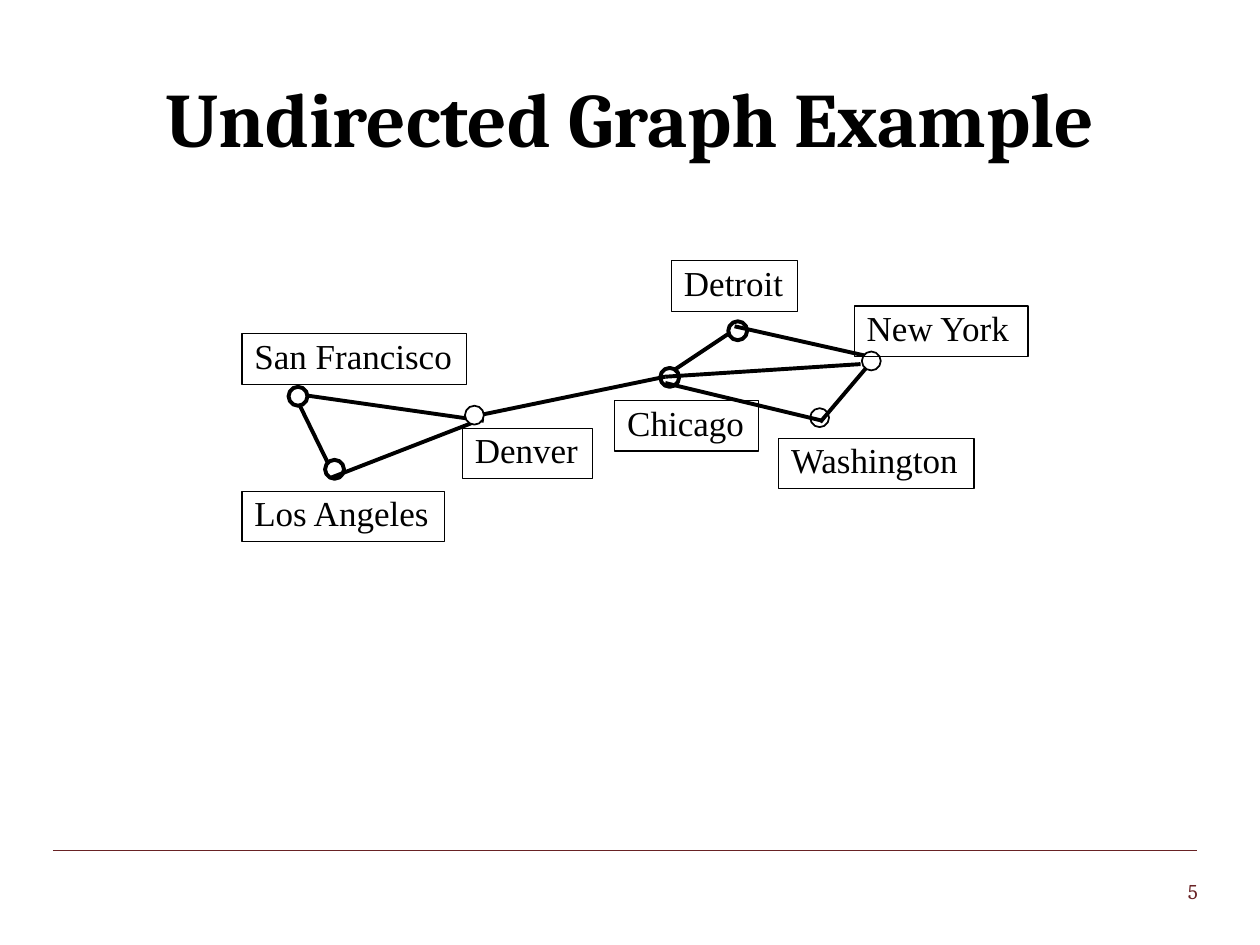
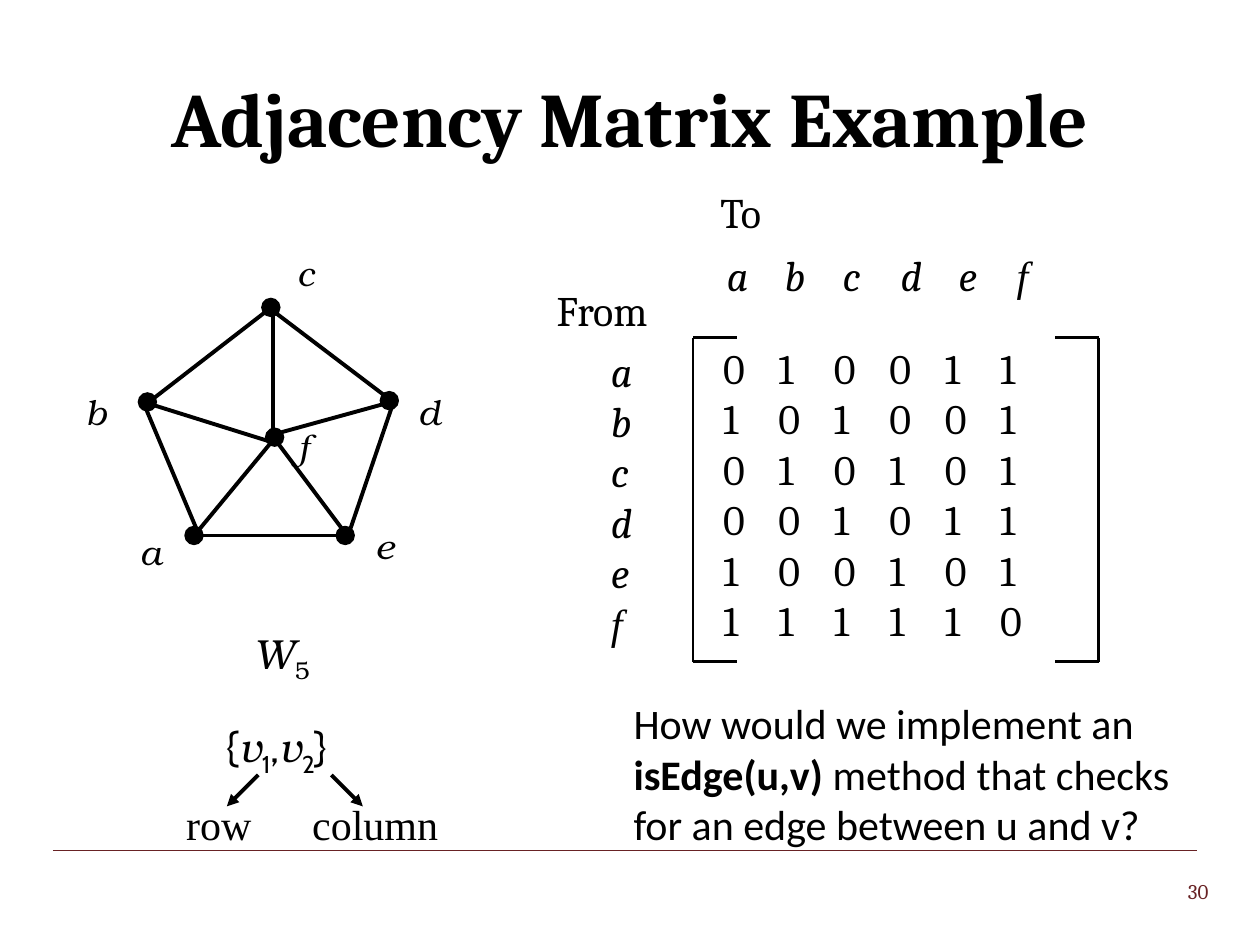
from dataclasses import dataclass
from typing import Optional, Sequence, Union

from lxml.etree import SubElement
from pptx import Presentation
from pptx.dml.color import RGBColor
from pptx.enum.shapes import MSO_CONNECTOR, MSO_SHAPE
from pptx.enum.text import MSO_ANCHOR, MSO_AUTO_SIZE, PP_ALIGN
from pptx.oxml.ns import qn
from pptx.slide import Slide
from pptx.text.text import TextFrame
from pptx.util import Inches, Pt

COLORS = {"ink": "000000", "paper": "FFFFFF", "accent": "682224"}
HEADING, SERIF, MATH, SET_FONT, BODY = (
    "Cambria", "Times New Roman", "TeX Gyre Bonum", "Cabin", "Calibri")
VERTICES = "abcdef"

Point = tuple[float, float]
Box = tuple[float, float, float, float]


@dataclass(frozen=True)
class Span:
    """A run that departs from the format of its paragraph."""
    text: str
    font: Optional[str] = None
    bold: Optional[bool] = None
    italic: Optional[bool] = None
    subscript: bool = False


Line = Sequence[Union[str, Span]]


@dataclass(frozen=True)
class City:
    name: str
    node: Point
    label: Point
    label_width: float
    outline: float = 2.25
    above_edges: bool = False


@dataclass(frozen=True)
class Vertex:
    name: str
    node: Point
    label: Point
    label_width: float = 0.37


@dataclass(frozen=True)
class Edge:
    start: Point
    end: Point


CITIES = [
    City("San Francisco", (2.29, 3.07), (1.92, 2.65), 1.78),
    City("Los Angeles", (2.58, 3.65), (1.92, 3.9), 1.61),
    City("Denver", (3.69, 3.22), (3.67, 3.4), 1.03, 1, True),
    City("Chicago", (5.24, 2.92), (4.88, 3.18), 1.14),
    City("Detroit", (5.78, 2.55), (5.33, 2.07), 1),
    City("New York", (6.84, 2.79), (6.78, 2.43), 1.38, 1, True),
    City("Washington", (6.43, 3.24), (6.18, 3.48), 1.55, 1),
]
ROUTES = [
    Edge((2.38, 3.22), (2.6, 3.67)),
    Edge((2.44, 3.14), (3.84, 3.34)),
    Edge((3.79, 3.34), (2.63, 3.79)),
    Edge((5.28, 2.99), (3.83, 3.29)),
    Edge((5.78, 2.65), (5.36, 2.93)),
    Edge((5.83, 2.59), (6.9, 2.83)),
    Edge((5.28, 2.99), (6.83, 2.89)),
    Edge((5.28, 3.04), (6.53, 3.34)),
    Edge((6.9, 2.89), (6.51, 3.35)),
]
WHEEL_VERTICES = [
    Vertex("a", (1.47, 4.18), (1.01, 4.16)),
    Vertex("b", (1.1, 3.12), (0.58, 3.05)),
    Vertex("c", (2.08, 2.37), (2.26, 1.95), 0.34),
    Vertex("d", (3.02, 3.11), (3.22, 3.05), 0.38),
    Vertex("e", (2.67, 4.18), (2.88, 4.11), 0.35),
    Vertex("f", (2.11, 3.4), (2.26, 3.33), 0.39),
]
RIM = [
    Edge((1.14, 3.2), (1.59, 4.27)),
    Edge((1.17, 3.2), (2.14, 2.45)),
    Edge((2.17, 2.47), (3.08, 3.16)),
    Edge((2.77, 4.23), (3.11, 3.23)),
    Edge((2.67, 4.25), (1.58, 4.25)),
]
SPOKES = [
    Edge((1.55, 4.24), (2.17, 3.49)),
    Edge((1.17, 3.2), (2.16, 3.51)),
    Edge((2.17, 2.44), (2.17, 3.44)),
    Edge((2.2, 3.44), (3.07, 3.2)),
    Edge((2.17, 3.47), (2.74, 4.23)),
]
ADJACENCY = ["010011", "101001", "010101", "001011", "100101", "111110"]


def rgb(name: str) -> RGBColor:
    return RGBColor.from_string(COLORS[name])


def write_text(frame: TextFrame, lines: Sequence[Line], *, size: float = 24,
               font: str = HEADING, color: str = "ink", bold: bool = False,
               italic: bool = False, wrap: bool = True,
               align: PP_ALIGN = PP_ALIGN.LEFT,
               anchor: MSO_ANCHOR = MSO_ANCHOR.TOP,
               spacing: Optional[float] = None,
               tab_pitch: float = 0, tab_count: int = 0) -> None:
    """Fill a frame; each line is a sequence of strings and spans."""
    frame.word_wrap = wrap
    frame.vertical_anchor = anchor
    for number, line in enumerate(lines):
        paragraph = frame.add_paragraph() if number else frame.paragraphs[0]
        paragraph.alignment = align
        if spacing:
            paragraph.line_spacing = spacing
        if tab_count:
            stops = SubElement(paragraph._p.get_or_add_pPr(), qn("a:tabLst"))
            for stop in range(1, tab_count + 1):
                SubElement(stops, qn("a:tab"), algn="l",
                           pos=str(Inches(stop * tab_pitch)))
        for part in line:
            span = part if isinstance(part, Span) else Span(part)
            run = paragraph.add_run()
            run.text = span.text
            run.font.size = Pt(size)
            run.font.name = span.font or font
            run.font.bold = bold if span.bold is None else span.bold
            run.font.italic = italic if span.italic is None else span.italic
            run.font.color.rgb = rgb(color)
            if span.subscript:
                run._r.get_or_add_rPr().set("baseline", "-25000")


def add_text(slide: Slide, box: Box, lines: Sequence[Line], **style) -> None:
    frame = slide.shapes.add_textbox(*map(Inches, box)).text_frame
    write_text(frame, lines, **style)
    if style.get("anchor") is None:
        frame.auto_size = MSO_AUTO_SIZE.SHAPE_TO_FIT_TEXT


def add_line(slide: Slide, edge: Edge, width: float = 2.25,
             color: str = "ink", arrow: bool = False) -> None:
    connector = slide.shapes.add_connector(
        MSO_CONNECTOR.STRAIGHT, *map(Inches, edge.start + edge.end))
    connector.line.color.rgb = rgb(color)
    connector.line.width = Pt(width)
    if arrow:
        SubElement(connector.line._get_or_add_ln(), qn("a:tailEnd"),
                   type="triangle")
    SubElement(connector._element.spPr, qn("a:effectLst"))


def add_node(slide: Slide, corner: Point, size: float, fill: str,
             outline: float) -> None:
    node = slide.shapes.add_shape(
        MSO_SHAPE.OVAL, *map(Inches, (*corner, size, size)))
    node.shadow.inherit = False
    node.fill.solid()
    node.fill.fore_color.rgb = rgb(fill)
    node.line.color.rgb = rgb("ink")
    node.line.width = Pt(outline)


def add_city_label(slide: Slide, city: City) -> None:
    label = slide.shapes.add_shape(
        MSO_SHAPE.ROUNDED_RECTANGLE,
        *map(Inches, (*city.label, city.label_width, 0.4)))
    label.adjustments[0] = 0
    label.shadow.inherit = False
    label.fill.background()
    label.line.color.rgb = rgb("ink")
    label.line.width = Pt(0.75)
    write_text(label.text_frame, [[city.name]], size=20, font=SERIF,
               wrap=False, spacing=0.87)


def start_slide(deck: Presentation, title: str, number: int) -> Slide:
    """Add a slide with its title, footer rule and slide number."""
    slide = deck.slides.add_slide(deck.slide_layouts[5])
    heading = slide.shapes.title
    heading.left, heading.top, heading.width, heading.height = map(
        Inches, (0.5, 0.3, 9, 1.25))
    write_text(heading.text_frame, [[title]], size=44, bold=True,
               align=PP_ALIGN.CENTER, anchor=MSO_ANCHOR.MIDDLE)
    add_line(slide, Edge((0.42, 6.75), (9.5, 6.75)), 0.75, "accent")
    add_text(slide, (9.33, 6.92, 0.4, 0.3), [[str(number)]], size=12,
             color="accent")
    return slide


def draw_cities(slide: Slide) -> None:
    def add_nodes(above_edges: bool) -> None:
        for city in CITIES:
            if city.above_edges == above_edges:
                add_node(slide, city.node, 0.15, "paper", city.outline)

    add_nodes(False)
    for route in ROUTES:
        add_line(slide, route)
    add_nodes(True)
    for city in CITIES:
        add_city_label(slide, city)


def draw_wheel(slide: Slide) -> None:
    for edge in RIM + SPOKES:
        add_line(slide, edge)
    for vertex in WHEEL_VERTICES:
        add_node(slide, vertex.node, 0.14, "ink", 1)
        add_text(slide, (*vertex.label, vertex.label_width, 0.43),
                 [[vertex.name]], size=20, font=MATH, italic=True, wrap=False)
    add_text(slide, (1.92, 4.93, 0.66, 0.5),
             [[Span("W", italic=True), Span("5", subscript=True)]],
             font=MATH, wrap=False)


def draw_matrix(slide: Slide) -> None:
    top, bottom, lip = 2.68, 5.25, 0.35
    for side, inward in ((5.5, lip), (8.72, -lip)):
        add_line(slide, Edge((side, top), (side, bottom)), 1.5)
        for end in (top, bottom):
            add_line(slide, Edge((side, end), (side + inward, end)), 1.5)

    last = Span(VERTICES[-1], font=SERIF)
    add_text(slide, (5.67, 1.68, 3.5, 0.75),
             [["\t".join(VERTICES[:-1]) + "\t", last]], italic=True,
             anchor=MSO_ANCHOR.BOTTOM, tab_pitch=0.46, tab_count=5)
    add_text(slide, (4.75, 2.69, 0.37, 2.5),
             [*([name] for name in VERTICES[:-1]), [last]], italic=True)
    add_text(slide, (4.32, 2.21, 1.05, 0.5), [["From"]])
    add_text(slide, (5.62, 1.43, 0.7, 0.5), [["To"]])
    add_text(slide, (5.64, 2.67, 2.87, 2.5),
             [["\t".join(row)] for row in ADJACENCY],
             tab_pitch=0.44, tab_count=5)


def draw_edge_key(slide: Slide) -> None:
    """Show which vertex of an edge picks the row and which the column."""
    v = Span("v", font=MATH, italic=True)
    add_text(slide, (1.7, 5.67, 1.23, 0.5),
             [["{", v, Span("1", subscript=True), ",", v,
               Span("2", subscript=True), "}"]], font=SET_FONT, wrap=False)
    add_text(slide, (1.38, 6.29, 2.2, 0.5), [["row\tcolumn"]], font=SERIF,
             wrap=False)
    for start, end in ((2.05, 1.8), (2.63, 2.88)):
        add_line(slide, Edge((start, 6.15), (end, 6.4)), arrow=True)


def main() -> None:
    deck = Presentation()
    deck.slide_width, deck.slide_height = Inches(10), Inches(7.5)

    draw_cities(start_slide(deck, "Undirected Graph Example", 5))

    matrix_slide = start_slide(deck, "Adjacency Matrix Example", 30)
    draw_wheel(matrix_slide)
    draw_matrix(matrix_slide)
    draw_edge_key(matrix_slide)
    add_text(matrix_slide, (4.93, 5.49, 4.5, 1.31),
             [["How would we implement an ", Span("isEdge(u,v)", bold=True),
               " method that checks for an edge between u and v?"]], font=BODY)
    deck.save("out.pptx")


if __name__ == "__main__":
    main()
